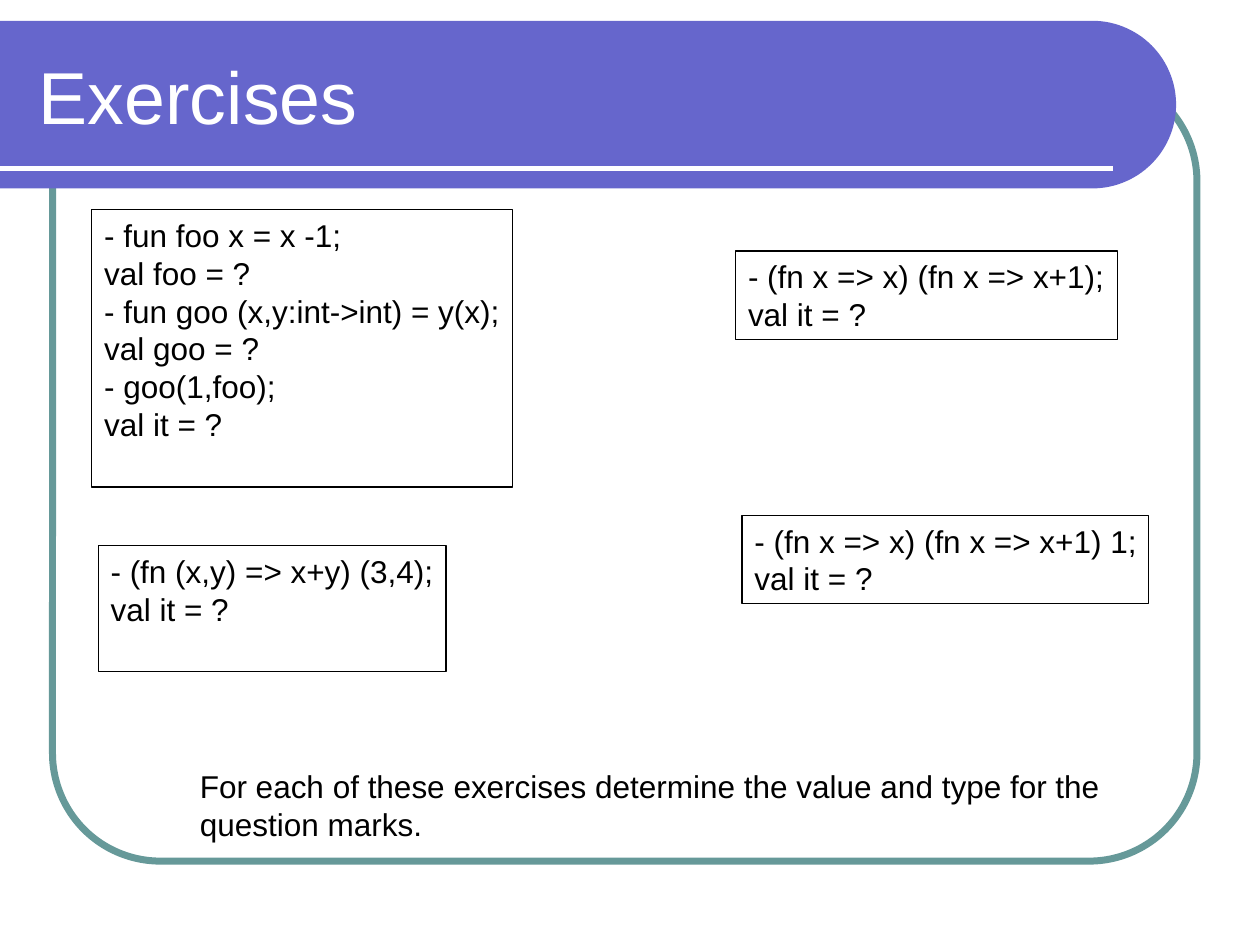
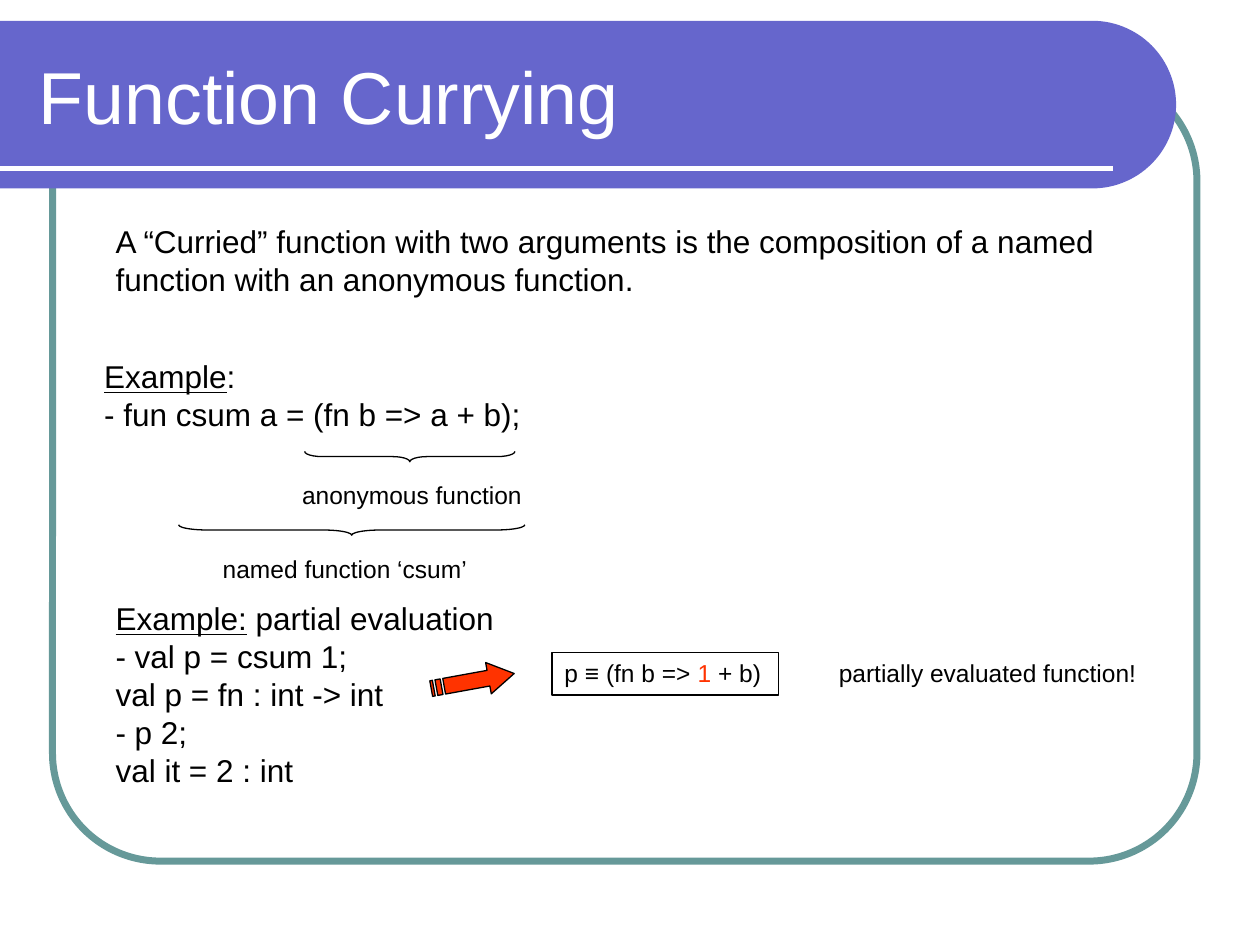
import math
from dataclasses import dataclass

from lxml import etree
from pptx import Presentation
from pptx.dml.color import RGBColor
from pptx.enum import shapes, text
from pptx.oxml.ns import qn
from pptx.util import Cm, Pt

FONT = "Arial"
BLACK, WHITE, RED = "000000", "FFFFFF", "FF3300"
BAND, FRAME = "6666CC", "669999"
CODE_SIZE, LABEL_SIZE = 18, 14


@dataclass
class Span:
    """Part of a line with its own look."""
    words: str
    color: str = BLACK
    underline: bool = False


@dataclass
class Note:
    """Text at a place in cm; a line is a string or a tuple of spans."""
    left: float
    top: float
    width: float
    height: float
    lines: tuple
    size: int = CODE_SIZE
    boxed: bool = False


@dataclass
class Brace:
    """Brace below a piece of code, pointing down."""
    left: float
    top: float
    length: float


def rgb(color: str) -> RGBColor:
    return RGBColor.from_string(color)


def paint(shape, fill: str = "", line: str = "", width: float = 0.75) -> None:
    shape.shadow.inherit = False
    if fill:
        shape.fill.solid()
        shape.fill.fore_color.rgb = rgb(fill)
    else:
        shape.fill.background()
    if line:
        shape.line.color.rgb = rgb(line)
        shape.line.width = Pt(width)
    else:
        shape.line.fill.background()


def format_run(run, size: int, color: str, underline: bool = False) -> None:
    run.font.name = FONT
    run.font.size = Pt(size)
    run.font.color.rgb = rgb(color)
    if underline:
        run.font.underline = True


def draw_outline(slide, contours: list):
    """Closed outlines, given as lists of (x, y) in cm, as one freeform."""
    builder = None
    for contour in contours:
        start, *rest = [(Cm(x), Cm(y)) for x, y in contour]
        if builder is None:
            builder = slide.shapes.build_freeform(*start)
        else:
            builder.move_to(*start)
        builder.add_line_segments(rest, close=True)
    return builder.convert_to_shape()


def draw_background(slide) -> None:
    """Rounded frame, title band and white rule, all behind the title."""
    frame = slide.shapes.add_shape(shapes.MSO_SHAPE.ROUNDED_RECTANGLE,
                                   Cm(1.06), Cm(1.48), Cm(23.07), Cm(15.88))
    frame.adjustments[0] = 0.137
    paint(frame, line=FRAME, width=4)

    top, radius, straight_end, steps = 0.42, 1.69, 22.02, 60
    angles = [math.pi * (i / steps - 0.5) for i in range(steps + 1)]
    arc = [(straight_end + radius * math.cos(a), top + radius * (1 + math.sin(a)))
           for a in angles]
    band = draw_outline(slide, [[(0, top), *arc, (0, top + 2 * radius)]])
    paint(band, fill=BAND)

    rule = slide.shapes.add_connector(shapes.MSO_CONNECTOR.STRAIGHT,
                                      Cm(0), Cm(3.39), Cm(22.44), Cm(3.39))
    rule.line.color.rgb = rgb(WHITE)
    rule.line.width = Pt(3)
    etree.SubElement(rule.element.spPr, qn("a:effectLst"))

    for part in (frame, band, rule):
        slide.shapes.title.element.addprevious(part.element)


def add_slide(deck, heading: str):
    slide = deck.slides.add_slide(deck.slide_layouts.get_by_name("Title Only"))
    title = slide.shapes.title
    title.left, title.top, title.width, title.height = (
        Cm(0.53), Cm(0.64), Cm(22.28), Cm(2.54))
    title.text_frame.text = heading
    title.text_frame.vertical_anchor = text.MSO_ANCHOR.MIDDLE
    paragraph = title.text_frame.paragraphs[0]
    paragraph.alignment = text.PP_ALIGN.LEFT
    format_run(paragraph.runs[0], 42, WHITE)
    draw_background(slide)
    return slide


def draw_note(slide, note: Note) -> None:
    place = [Cm(v) for v in (note.left, note.top, note.width, note.height)]
    if note.boxed:
        box = slide.shapes.add_shape(shapes.MSO_SHAPE.RECTANGLE, *place)
        paint(box, line=BLACK)
    else:
        box = slide.shapes.add_textbox(*place)
    frame = box.text_frame
    frame.word_wrap = True
    frame.margin_right = 0
    frame.vertical_anchor = text.MSO_ANCHOR.TOP
    for i, line in enumerate(note.lines):
        paragraph = frame.add_paragraph() if i else frame.paragraphs[0]
        paragraph.alignment = text.PP_ALIGN.LEFT
        if isinstance(line, str):
            paragraph.text = line
            for run in paragraph.runs:
                format_run(run, note.size, BLACK)
        else:
            for span in line:
                run = paragraph.add_run()
                run.text = span.words
                format_run(run, note.size, span.color, span.underline)


def draw_brace(slide, brace: Brace, depth: float = 0.21) -> None:
    # The upright brace is turned a quarter about its centre
    left = brace.left + (brace.length - depth) / 2
    top = brace.top - (brace.length - depth) / 2
    shape = slide.shapes.add_shape(shapes.MSO_SHAPE.RIGHT_BRACE, Cm(left),
                                   Cm(top), Cm(depth), Cm(brace.length))
    shape.adjustments[0] = brace.length / 12 / depth
    shape.rotation = 90
    paint(shape, line=BLACK)


def draw_striped_arrow(slide, left: float, top: float, width: float,
                       height: float, rotation: float) -> None:
    def spot(x: float, y: float) -> tuple:
        return left + x * width, top + y * height

    def stripe(start: float, end: float) -> list:
        return [spot(start, 0.25), spot(end, 0.25),
                spot(end, 0.75), spot(start, 0.75)]

    neck, body = 0.69, 5 / 32
    pointer = [spot(*p) for p in (
        (neck, 0), (neck, 0.25), (body, 0.25), (body, 0.75),
        (neck, 0.75), (neck, 1), (1, 0.5))]
    arrow = draw_outline(slide, [pointer, stripe(1 / 16, 1 / 8), stripe(0, 1 / 32)])
    arrow.rotation = rotation
    paint(arrow, fill=RED, line=BLACK)


EXERCISES = [
    Note(1.85, 4.23, 8.48, 5.59, (
        "- fun foo x = x -1;", "val foo = ?",
        "- fun goo (x,y:int->int) = y(x);", "val goo = ?",
        "- goo(1,foo);", "val it = ?"), boxed=True),
    Note(1.98, 11, 7.01, 2.54,
         ("- (fn (x,y) => x+y) (3,4);", "val it = ?"), boxed=True),
    Note(14.83, 5.06, 7.7, 1.78,
         ("- (fn x => x) (fn x => x+1);", "val it = ?"), boxed=True),
    Note(14.96, 10.39, 8.2, 1.78,
         ("- (fn x => x) (fn x => x+1) 1;", "val it = ?"), boxed=True),
    Note(3.78, 15.34, 18.82, 1.78, (
        "For each of these exercises determine the value and type for the",
        "question marks.")),
]

CURRYING = [
    Note(2.08, 4.35, 20.27, 1.78, (
        "A “Curried” function with two arguments is the composition of a named\v"
        "function with an anonymous function.",)),
    Note(1.85, 7.08, 8.89, 1.78, (
        (Span("Example", underline=True), Span(":")),
        "- fun csum a = (fn b => a + b);")),
    Note(5.84, 9.55, 4.93, 0.86, ("anonymous function",), LABEL_SIZE),
    Note(4.24, 11.05, 5.44, 0.86, ("named function ‘csum’",), LABEL_SIZE),
    Note(2.08, 11.96, 8.13, 4.06, (
        (Span("Example:", underline=True), Span(" partial evaluation")),
        "- val p = csum 1;", "val p = fn : int -> int",
        "- p 2;", "val it = 2 : int")),
    Note(11.13, 13.15, 4.57, 0.86, (
        (Span("p ≡ (fn b => "), Span("1", RED), Span(" + b)")),),
        LABEL_SIZE, boxed=True),
    Note(16.66, 13.15, 6.5, 0.86, ("partially evaluated function!",), LABEL_SIZE),
]

BRACES = [Brace(3.6, 10.58, 6.98), Brace(6.14, 9.1, 4.24)]


def main() -> None:
    deck = Presentation()
    deck.slide_width, deck.slide_height = Cm(25.4), Cm(19.05)

    # Exercises
    exercises = add_slide(deck, "Exercises")
    for note in EXERCISES:
        draw_note(exercises, note)

    # Function currying
    currying = add_slide(deck, "Function Currying")
    for note in CURRYING:
        draw_note(currying, note)
    for brace in BRACES:
        draw_brace(currying, brace)
    draw_striped_arrow(currying, 8.68, 13.41, 1.7, 0.64, 349.7)

    deck.save("out.pptx")


if __name__ == "__main__":
    main()
